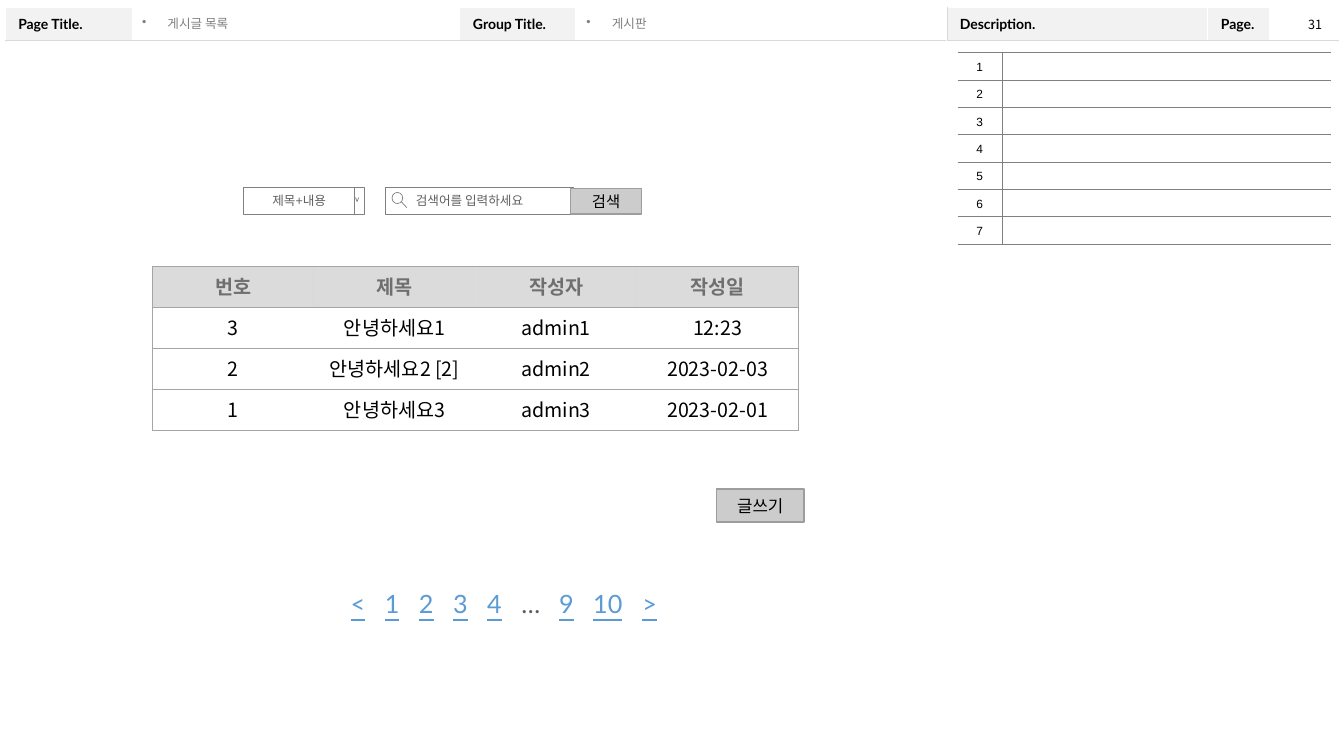
from dataclasses import dataclass

from lxml import etree
from pptx import Presentation
from pptx import util as u
from pptx.dml import color
from pptx.enum import shapes, text
from pptx.oxml import ns

COLORS = {
    "white": "FFFFFF", "panel": "F2F2F2", "hairline": "D9D9D9", "outline": "808080",
    "muted": "5F5F5F", "black": "000000", "button": "CCCCCC", "button_line": "9D9D9D",
    "board": "A5A5A5", "board_head": "6F6F6F", "link": "5B9BD5",
}
KOREAN = "Noto Sans CJK KR"
CENTER = text.PP_ALIGN.CENTER


@dataclass(frozen=True)
class Style:
    size: float
    font: str
    color: str
    bold: bool = False
    underline: bool = False


@dataclass(frozen=True)
class Box:
    left: float
    top: float
    width: float
    height: float

    def lengths(self) -> tuple:
        return u.Cm(self.left), u.Cm(self.top), u.Cm(self.width), u.Cm(self.height)


@dataclass(frozen=True)
class Field:
    box: Box
    words: str
    style: Style
    fill: str = "white"
    line: str = "outline"
    weight: float = 0.5
    margin: float = 0.25
    align: text.PP_ALIGN = CENTER
    wrap: bool = True


@dataclass(frozen=True)
class Border:
    color: str
    weight: float


def rgb(name: str) -> color.RGBColor:
    return color.RGBColor.from_string(COLORS[name])


def add_run(paragraph, words: str, style: Style) -> None:
    run = paragraph.add_run()
    run.text = words
    font = run.font
    font.size, font.name = u.Pt(style.size), style.font
    font.bold, font.underline = style.bold, style.underline
    font.color.rgb = rgb(style.color)
    etree.SubElement(run._r.get_or_add_rPr(), ns.qn("a:ea"), typeface=KOREAN)


def add_text(slide, box: Box, wrap: bool = True):
    frame = slide.shapes.add_textbox(*box.lengths()).text_frame
    frame.word_wrap = wrap
    return frame


def paint(shape, fill: str, line: str, weight: float) -> None:
    shape.shadow.inherit = False
    shape.fill.solid()
    shape.fill.fore_color.rgb = rgb(fill)
    shape.line.color.rgb = rgb(line)
    shape.line.width = u.Pt(weight)


def add_field(slide, field: Field) -> None:
    shape = slide.shapes.add_shape(shapes.MSO_SHAPE.RECTANGLE, *field.box.lengths())
    paint(shape, field.fill, field.line, field.weight)
    frame = shape.text_frame
    frame.word_wrap = field.wrap
    frame.vertical_anchor = text.MSO_ANCHOR.MIDDLE
    frame.margin_left, frame.margin_right = u.Cm(field.margin), u.Cm(0.25)
    frame.paragraphs[0].alignment = field.align
    if field.words:
        add_run(frame.paragraphs[0], field.words, field.style)


def add_bullet(slide, box: Box, words: str) -> None:
    frame = add_text(slide, box)
    frame.vertical_anchor = text.MSO_ANCHOR.MIDDLE
    paragraph = frame.paragraphs[0]
    paragraph.line_spacing, paragraph.space_before = 0.9, u.Pt(10)
    properties = paragraph._p.get_or_add_pPr()
    properties.set("marL", str(u.Cm(0.64)))
    properties.set("indent", str(-u.Cm(0.64)))
    etree.SubElement(properties, ns.qn("a:buChar"), char="•")
    add_run(paragraph, words, Style(9, "Arial", "outline"))


def add_grid(slide, left: float, top: float, widths: list[float], heights: list[float]):
    box = Box(left, top, sum(widths), sum(heights))
    table = slide.shapes.add_table(len(heights), len(widths), *box.lengths()).table
    table.first_row = table.horz_banding = False
    for column, width in zip(table.columns, widths):
        column.width = u.Cm(width)
    for row, height in zip(table.rows, heights):
        row.height = u.Cm(height)
    return table


def set_cell(cell, words: str, style: Style, borders: dict[str, Border], fill: str = "",
             alpha: int = 100, align: text.PP_ALIGN = CENTER):
    paragraph = cell.text_frame.paragraphs[0]
    paragraph.alignment = align
    if words:
        add_run(paragraph, words, style)
    else:
        etree.SubElement(paragraph._p, ns.qn("a:endParaRPr"), sz=str(int(style.size * 100)))
    if fill:
        cell.fill.solid()
        cell.fill.fore_color.rgb = rgb(fill)
    else:
        cell.fill.background()
    properties = cell._tc.get_or_add_tcPr()
    if alpha < 100:
        tint = properties.find(".//" + ns.qn("a:srgbClr"))
        etree.SubElement(tint, ns.qn("a:alpha"), val=str(alpha * 1000))
    for position, side in enumerate("LRTB"):
        border = borders.get(side)
        line = etree.Element(ns.qn(f"a:ln{side}"), w=str(u.Pt(border.weight) if border else 0))
        if border:
            solid = etree.SubElement(line, ns.qn("a:solidFill"))
            etree.SubElement(solid, ns.qn("a:srgbClr"), val=COLORS[border.color])
        else:
            etree.SubElement(line, ns.qn("a:noFill"))
        properties.insert(position, line)
    return paragraph


def add_page_frame(slide) -> None:
    titles = ["Page Title.", "", "Group Title.", "", "Description.", "Page.", ""]
    widths = [3.2, 8.26, 2.92, 9.35, 6.58, 1.55, 1.73]
    table = add_grid(slide, 0.13, 0.18, widths, [0.84, 16.94])
    white, hairline = Border("white", 1), Border("hairline", 0.25)
    style = Style(10, "Lato", "black", bold=True)
    for row, edge in enumerate("BT"):
        for column, title in enumerate(titles):
            borders = dict.fromkeys("LRTB", white) | {edge: hairline}
            if column in (3, 4):
                borders["R" if column == 3 else "L"] = hairline
            cell = table.cell(row, column)
            words = "" if row else title
            set_cell(cell, words, style, borders, "panel" if words else "", align=text.PP_ALIGN.LEFT)
            cell.vertical_anchor = text.MSO_ANCHOR.MIDDLE
            if words:
                cell.margin_left = cell.margin_right = u.Cm(0.33)
                cell.margin_top = cell.margin_bottom = u.Cm(0.17)
    table.cell(1, 0).merge(table.cell(1, 3))
    table.cell(1, 4).merge(table.cell(1, 6))


def add_descriptions(slide, count: int) -> None:
    table = add_grid(slide, 24.13, 1.32, [1.12, 8.28], [0.69] * count)
    line = Border("outline", 0.25)
    for row in range(count):
        for column, divider in enumerate("RL"):
            cell = table.cell(row, column)
            paragraph = set_cell(cell, "" if column else str(row + 1), Style(8.5, "Arial", "black"),
                                 dict.fromkeys("TB" + divider, line))
            paragraph.line_spacing = 1.2
            cell.vertical_anchor = text.MSO_ANCHOR.MIDDLE


def add_board(slide) -> None:
    rows = [
        ("번호", "제목", "작성자", "작성일"),
        ("3", "안녕하세요1", "admin1", "12:23"),
        ("2", "안녕하세요2 [2]", "admin2", "2023-02-03"),
        ("1", "안녕하세요3", "admin3", "2023-02-01"),
    ]
    table = add_grid(slide, 3.84, 6.72, [4.07] * 4, [1.03] * 4)
    line = Border("board", 0.5)
    for row, values in enumerate(rows):
        head = row == 0
        style = Style(14, KOREAN, "board_head" if head else "black", bold=head)
        for column, value in enumerate(values):
            sides = "TB" + {0: "L", 3: "R"}.get(column, "")
            set_cell(table.cell(row, column), value, style, dict.fromkeys(sides, line),
                     "board" if head else "", 40 if head else 100)


def add_icons(slide) -> None:
    builder = slide.shapes.build_freeform(u.Cm(9.04), u.Cm(4.98))
    builder.add_line_segments([(u.Cm(9), u.Cm(5.08)), (u.Cm(8.96), u.Cm(4.98))], close=False)
    paint(builder.convert_to_shape(), "white", "outline", 0.5)
    lens = slide.shapes.add_shape(shapes.MSO_SHAPE.OVAL, *Box(9.88, 4.85, 0.27, 0.28).lengths())
    paint(lens, "white", "outline", 0.5)
    handle = slide.shapes.add_connector(shapes.MSO_CONNECTOR.STRAIGHT, u.Cm(10.11), u.Cm(5.08),
                                        u.Cm(10.25), u.Cm(5.23))
    handle.line.color.rgb, handle.line.width = rgb("outline"), u.Pt(0.5)
    etree.SubElement(handle._element.spPr, ns.qn("a:effectLst"))


def add_pagination(slide) -> None:
    frame = add_text(slide, Box(8.64, 14.73, 8.3, 0.97))
    frame.margin_left = frame.margin_right = u.Cm(0.2)
    frame.margin_top = frame.margin_bottom = u.Cm(0.1)
    paragraph = frame.paragraphs[0]
    tabs = etree.SubElement(paragraph._p.get_or_add_pPr(), ns.qn("a:tabLst"))
    for stop in (0.86, 1.72, 2.58, 3.44, 4.3, 5.25, 6.11, 7.35):
        etree.SubElement(tabs, ns.qn("a:tab"), pos=str(u.Cm(stop)), algn="l")
    for index, label in enumerate(["<", "1", "2", "3", "4", "…", "9", "10", ">"]):
        linked = label != "…"
        if index:
            add_run(paragraph, "\t", Style(18, "Lato", "link"))
        add_run(paragraph, label, Style(18, "Lato", "link" if linked else "muted", underline=linked))


def main() -> None:
    presentation = Presentation()
    presentation.slide_width, presentation.slide_height = u.Cm(33.87), u.Cm(19.05)
    slide = presentation.slides.add_slide(presentation.slide_layouts[6])
    add_page_frame(slide)
    add_bullet(slide, Box(3.33, 0.3, 8.23, 0.61), "게시글 목록")
    add_bullet(slide, Box(14.53, 0.3, 9.25, 0.61), "게시판")
    add_descriptions(slide, 7)
    number = add_text(slide, Box(32.72, 0.3, 0.86, 0.64), wrap=False)
    add_run(number.paragraphs[0], "31", Style(9, KOREAN, "black"))
    hint = Style(9, "Lato", "muted")
    fields = [
        Field(Box(6.14, 4.72, 2.8, 0.68), "제목+내용", hint),
        Field(Box(8.94, 4.72, 0.24, 0.68), "", hint),
        Field(Box(9.72, 4.72, 4.72, 0.68), "검색어를 입력하세요", hint, margin=0.76,
              align=text.PP_ALIGN.LEFT),
        Field(Box(14.38, 4.75, 1.79, 0.64), "검색", Style(11, "Lato", "black"), "button",
              "button_line", 1, wrap=False),
        Field(Box(18.06, 12.32, 2.2, 0.84), "글쓰기", Style(12, "Lato", "black"), "button",
              "button_line", 1, wrap=False),
    ]
    for field in fields:
        add_field(slide, field)
    add_icons(slide)
    add_board(slide)
    add_pagination(slide)
    presentation.save("out.pptx")


if __name__ == "__main__":
    main()
